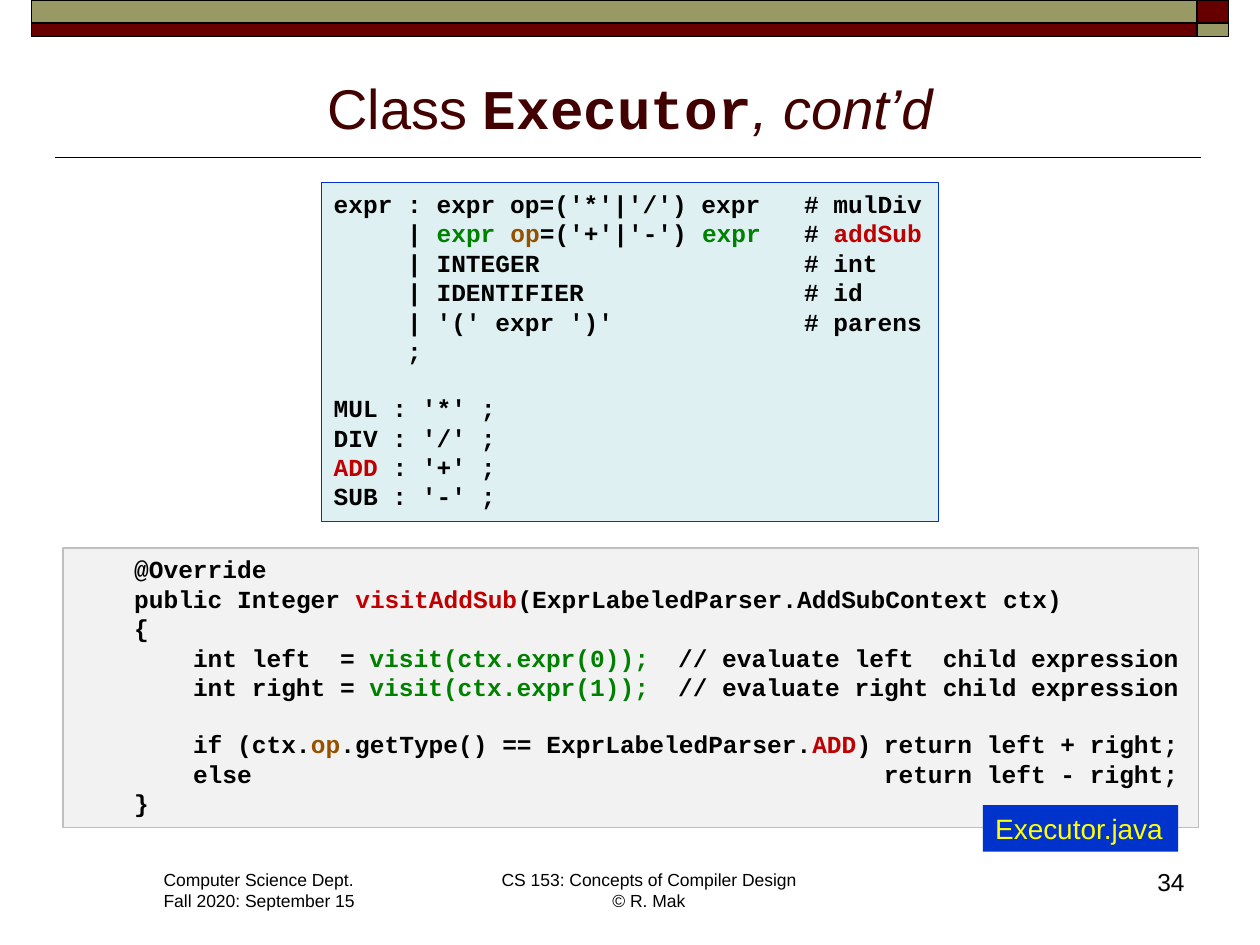
from lxml import etree
from pptx import Presentation
from pptx.dml.color import RGBColor
from pptx.enum.shapes import MSO_CONNECTOR, MSO_SHAPE
from pptx.enum.text import MSO_ANCHOR, MSO_AUTO_SIZE, PP_ALIGN
from pptx.oxml.ns import qn
from pptx.util import Inches, Pt

BLACK = RGBColor(0x00, 0x00, 0x00)
MAROON = RGBColor(0x66, 0x00, 0x00)
OLIVE = RGBColor(0x99, 0x99, 0x66)
TITLE = RGBColor(0x42, 0x00, 0x00)
BLUE = RGBColor(0x00, 0x33, 0xCC)
YELLOW = RGBColor(0xFF, 0xFF, 0x00)
PALE_BLUE = RGBColor(0xDE, 0xF0, 0xF2)
PALE_GRAY = RGBColor(0xF2, 0xF2, 0xF2)
GRAY = RGBColor(0xBF, 0xBF, 0xBF)
GREEN = RGBColor(0x00, 0x80, 0x00)
BROWN = RGBColor(0x94, 0x52, 0x00)
RED = RGBColor(0xC0, 0x00, 0x00)

CODE_SIZE = 14
CHAR_WIDTH = Pt(CODE_SIZE * 0.6)
BLANK_LINE = Pt(15.86)

prs = Presentation()
prs.slide_width, prs.slide_height = Inches(10), Inches(7.5)
s = prs.slides.add_slide(prs.slide_layouts[5])


def add_box(x, y, w, h, fill, line=None, weight=0.75):
    sp = s.shapes.add_shape(MSO_SHAPE.RECTANGLE, Inches(x), Inches(y), Inches(w), Inches(h))
    sp.shadow.inherit = False
    sp.fill.solid()
    sp.fill.fore_color.rgb = fill
    if line is None:
        sp.line.fill.background()
    else:
        sp.line.color.rgb = line
        sp.line.width = Pt(weight)
    return sp


def add_code(sp, lines):
    tf = sp.text_frame
    tf.word_wrap = True
    tf.margin_right = Inches(0.05)
    tf.vertical_anchor = MSO_ANCHOR.TOP
    for i, (stops, gap, runs) in enumerate(lines):
        p = tf.paragraphs[0] if i == 0 else tf.add_paragraph()
        p.alignment = PP_ALIGN.LEFT
        if gap:
            p.space_before = BLANK_LINE
        if stops:
            tabs = etree.SubElement(p._p.get_or_add_pPr(), qn("a:tabLst"))
            for col in stops:
                etree.SubElement(tabs, qn("a:tab"), pos=str(col * CHAR_WIDTH), algn="l")
        for text, color in runs:
            r = p.add_run()
            r.text = text
            r.font.name = "Courier New"
            r.font.size = Pt(CODE_SIZE)
            r.font.bold = True
            r.font.color.rgb = color


for x, w, colors in [(0.25, 9.25, (OLIVE, MAROON)), (9.5, 0.25, (MAROON, OLIVE))]:
    for y, h, color in zip((0, 0.18), (0.18, 0.11), colors):
        add_box(x, y, w, h, color, BLACK, 1)

rule = s.shapes.add_connector(MSO_CONNECTOR.STRAIGHT, Inches(9.53), Inches(1.25), Inches(0.44), Inches(1.25))
rule.line.color.rgb = BLACK
rule.line.width = Pt(1)
etree.SubElement(rule._element.spPr, qn("a:effectLst"))

title = s.shapes.title
title.left, title.top, title.width, title.height = Inches(0.5), Inches(0.45), Inches(9), Inches(0.72)
tf = title.text_frame
tf.auto_size = MSO_AUTO_SIZE.NONE
tf.vertical_anchor = MSO_ANCHOR.BOTTOM
p = tf.paragraphs[0]
p.alignment = PP_ALIGN.CENTER
for text, font, bold, italic in [
    ("Class ", "Arial", False, False),
    ("Executor", "Courier New", True, False),
    (", cont’d", "Arial", False, True),
]:
    r = p.add_run()
    r.text = text
    r.font.name = font
    r.font.size = Pt(32)
    r.font.bold = bold
    r.font.italic = italic
    r.font.color.rgb = TITLE

rule_tabs = (5, 32)
grammar = [
    (rule_tabs, False, [("expr\t: expr op=('*'|'/') expr\t# mulDiv", BLACK)]),
    (rule_tabs, False, [("\t| ", BLACK), ("expr ", GREEN), ("op", BROWN), ("=('+'|'-') ", BLACK),
                        ("expr", GREEN), ("\t# ", BLACK), ("addSub", RED)]),
    (rule_tabs, False, [("\t| INTEGER\t# int", BLACK)]),
    (rule_tabs, False, [("\t| IDENTIFIER\t# id", BLACK)]),
    (rule_tabs, False, [("\t| '(' expr ')'\t# parens", BLACK)]),
    (rule_tabs, False, [("\t;", BLACK)]),
    ((), True, [("MUL : '*' ;", BLACK)]),
    ((), False, [("DIV : '/' ;", BLACK)]),
    ((), False, [("ADD", RED), (" : '+' ;", BLACK)]),
    ((), False, [("SUB : '-' ;", BLACK)]),
]
add_code(add_box(2.55, 1.45, 4.9, 2.69, PALE_BLUE, BLUE), grammar)

outer, assign, branch = (4,), (8, 18, 41), (8, 55)
java = [
    (outer, False, [("\t@Override", BLACK)]),
    (outer, False, [("\tpublic Integer ", BLACK), ("visitAddSub", RED),
                    ("(ExprLabeledParser.AddSubContext ctx)", BLACK)]),
    (outer, False, [("\t{", BLACK)]),
    (assign, False, [("\tint left\t= ", BLACK), ("visit(ctx.expr(0));", GREEN),
                     ("\t// evaluate left  child expression", BLACK)]),
    (assign, False, [("\tint right\t= ", BLACK), ("visit(ctx.expr(1));", GREEN),
                     ("\t// evaluate right child expression", BLACK)]),
    (branch, True, [("\tif (ctx.", BLACK), ("op", BROWN), (".getType() == ExprLabeledParser.", BLACK),
                    ("ADD", RED), (")\treturn left + right;", BLACK)]),
    (branch, False, [("\telse\treturn left - right;", BLACK)]),
    (outer, False, [("\t}", BLACK)]),
]
add_code(add_box(0.5, 4.35, 9.01, 2.22, PALE_GRAY, GRAY), java)

file_label = add_box(7.8, 6.39, 1.55, 0.37, BLUE)
tf = file_label.text_frame
tf.word_wrap = False
tf.text = "Executor.java"
p = tf.paragraphs[0]
p.alignment = PP_ALIGN.LEFT
p.font.name = "Arial"
p.runs[0].font.size = Pt(16)
p.runs[0].font.name = "Arial"
p.runs[0].font.color.rgb = YELLOW

for x, y, w, h, text, size, align in [
    (1.2, 6.85, 1.72, 0.44, "Computer Science Dept.\nFall 2020: September 15", 10, PP_ALIGN.LEFT),
    (3.87, 6.85, 2.56, 0.44, "CS 153: Concepts of Compiler Design\v© R. Mak", 10, PP_ALIGN.CENTER),
    (8.8, 6.83, 0.7, 0.5, "34", 14, PP_ALIGN.RIGHT),
]:
    tf = s.shapes.add_textbox(Inches(x), Inches(y), Inches(w), Inches(h)).text_frame
    tf.word_wrap = size == 14
    tf.text = text
    for p in tf.paragraphs:
        p.alignment = align
        for r in p.runs:
            r.font.name = "Arial"
            r.font.size = Pt(size)
            r.font.color.rgb = BLACK

prs.save("out.pptx")
